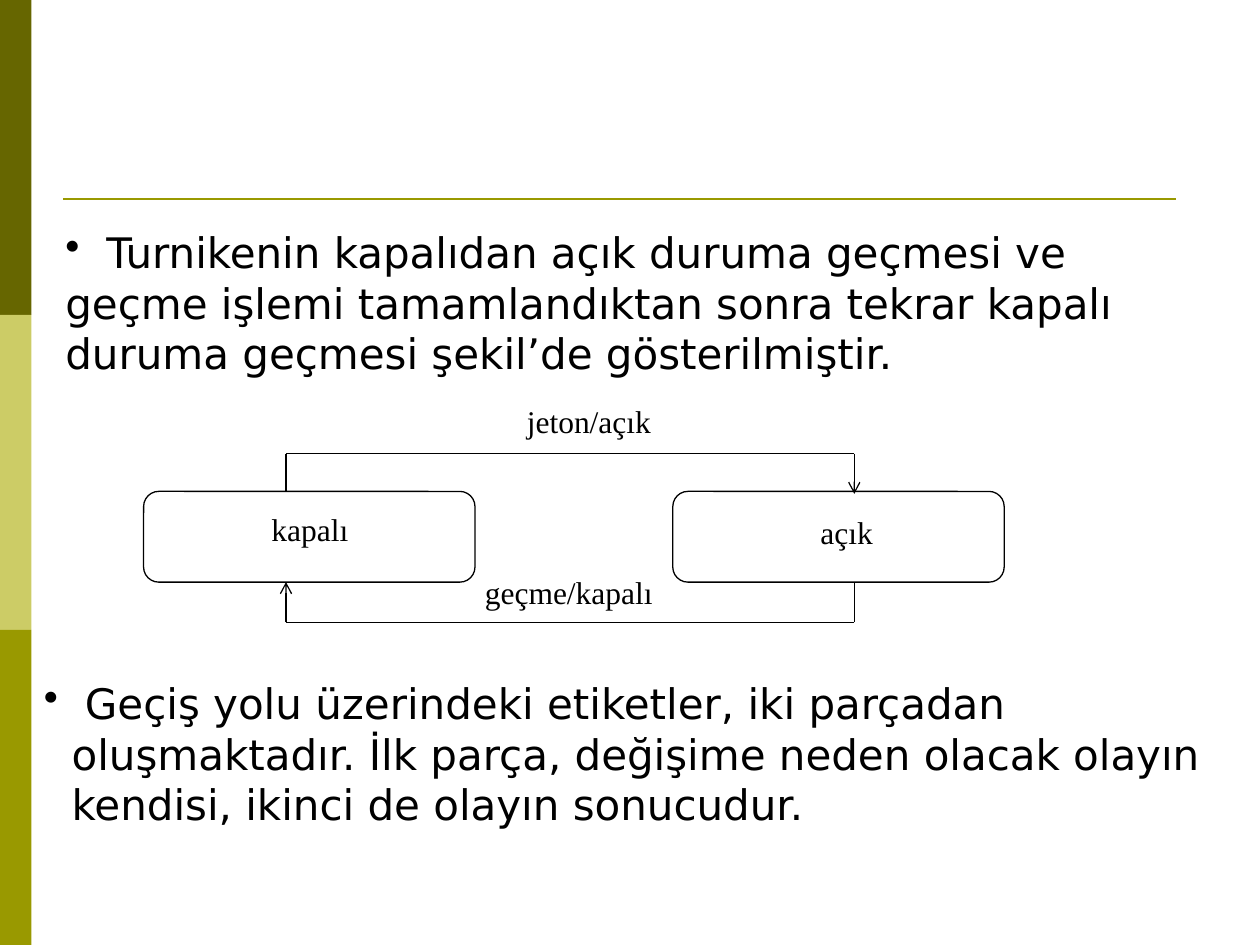
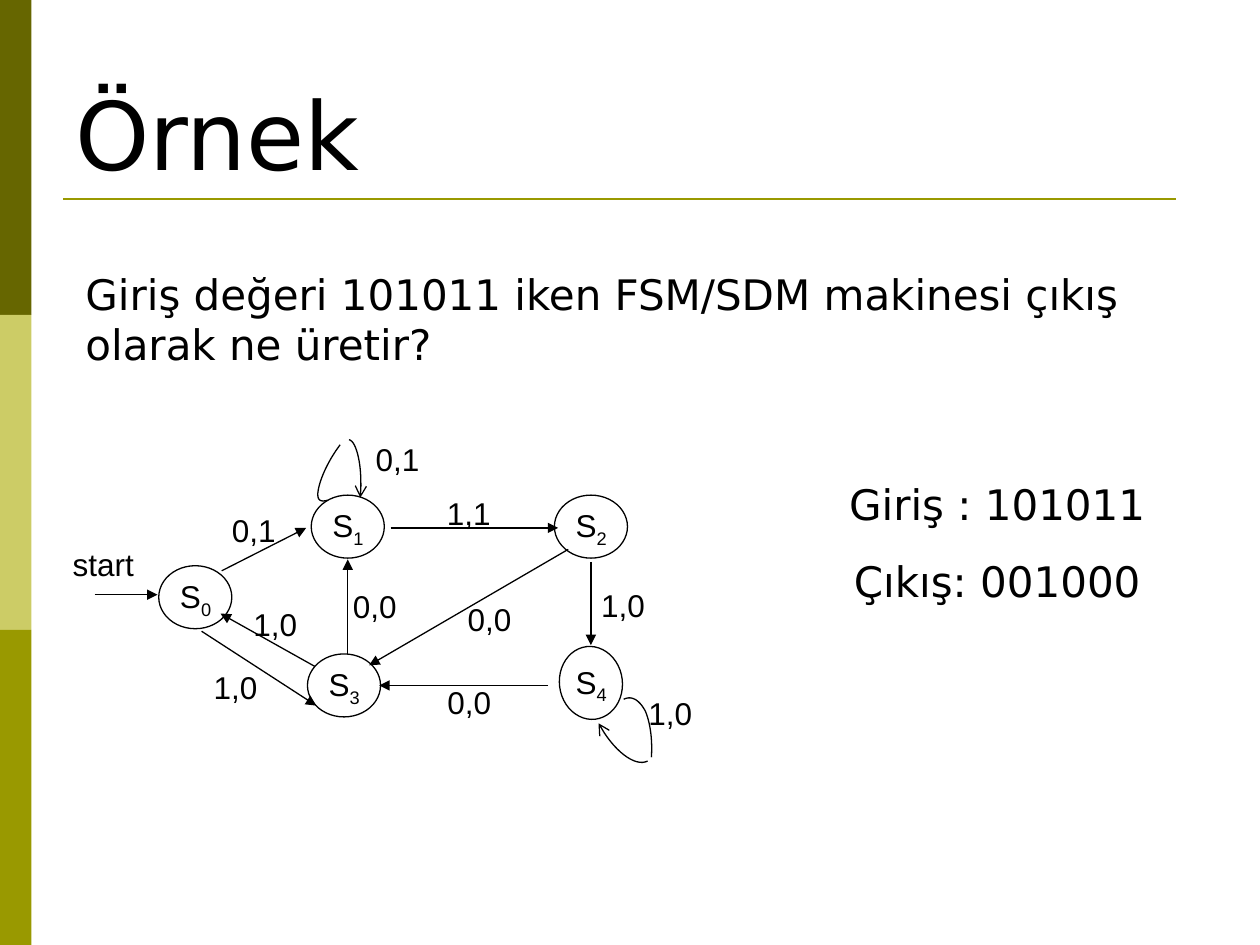
from lxml import etree
from pptx import Presentation
from pptx import util as u
from pptx.dml.color import RGBColor
from pptx.enum import shapes, text
from pptx.oxml.ns import qn

PX = 9144  # EMU in one px: 100 px to the inch
COLORS = {
    "ink": "000000",
    "paper": "FFFFFF",
    "dark": "666600",
    "light": "CCCC66",
    "olive": "999900",
}
BODY, DIAGRAM, SERIF = "DejaVu Sans", "Arial", "Times New Roman"
LEFT, CENTER = text.PP_ALIGN.LEFT, text.PP_ALIGN.CENTER
TOP, BOTTOM = text.MSO_ANCHOR.TOP, text.MSO_ANCHOR.BOTTOM
RECT = shapes.MSO_SHAPE.RECTANGLE
ROUNDED = shapes.MSO_SHAPE.ROUNDED_RECTANGLE
OVAL = shapes.MSO_SHAPE.OVAL


def emu(*lengths):
    return [u.Emu(round(n * PX)) for n in lengths]


def rgb(name):
    return RGBColor.from_string(COLORS[name])


def bezier(p0, p1, p2, p3, steps=16):
    """Points along a cubic curve."""
    for i in range(steps + 1):
        t = i / steps
        yield tuple(
            (1 - t) ** 3 * a + 3 * (1 - t) ** 2 * t * b
            + 3 * (1 - t) * t ** 2 * c + t ** 3 * d
            for a, b, c, d in zip(p0, p1, p2, p3))


class Deck:
    def __init__(self):
        self.prs = Presentation()
        self.prs.slide_width, self.prs.slide_height = emu(1000, 750)

    def new_slide(self):
        """Start a slide with the side bands and the title rule."""
        self.s = self.prs.slides.add_slide(self.prs.slide_layouts[6])
        for i, color in enumerate(("dark", "light", "olive")):
            self.shape(RECT, (0, 250 * i, 25, 250), color, None)
        self.line((50, 158), (933, 158), color="olive", width=1.5)

    def shape(self, kind, box, fill="paper", line="ink"):
        sp = self.s.shapes.add_shape(kind, *emu(*box))
        sp.shadow.inherit = False
        sp.fill.solid()
        sp.fill.fore_color.rgb = rgb(fill)
        if line:
            self.stroke(sp, line)
        else:
            sp.line.fill.background()
        return sp

    def stroke(self, sp, color="ink", width=0.75, arrow=None):
        sp.line.color.rgb = rgb(color)
        sp.line.width = u.Pt(width)
        if arrow:
            ln = sp.element.spPr.find(qn("a:ln"))
            etree.SubElement(ln, qn("a:tailEnd"), type=arrow)

    def line(self, start, end, arrow=None, color="ink", width=0.75):
        cx = self.s.shapes.add_connector(
            shapes.MSO_CONNECTOR.STRAIGHT, *emu(*start, *end))
        self.stroke(cx, color, width, arrow)
        etree.SubElement(cx.element.spPr, qn("a:effectLst"))

    def curve(self, *segments, arrow=None):
        points = [emu(*pt) for seg in segments for pt in bezier(*seg)]
        builder = self.s.shapes.build_freeform(*points[0])
        builder.add_line_segments(points[1:], close=False)
        sp = builder.convert_to_shape()
        sp.shadow.inherit = False
        sp.fill.background()
        self.stroke(sp, arrow=arrow)

    def text(self, box, *lines, size=24, font=BODY, align=LEFT, anchor=TOP,
             gap=0, bullet=False):
        tf = self.s.shapes.add_textbox(*emu(*box)).text_frame
        tf.word_wrap = True
        tf.vertical_anchor = anchor
        tf.text = "\n".join(lines)
        for i, p in enumerate(tf.paragraphs):
            p.alignment = align
            if i:
                p.space_before = u.Pt(gap)
            elif bullet:
                self.bullet(p)
            for r in p.runs:
                self.style(r, size, font)
        return tf

    def bullet(self, p):
        hang, = emu(22)
        pPr = p._p.get_or_add_pPr()
        pPr.set("marL", str(hang))
        pPr.set("indent", str(-hang))
        etree.SubElement(pPr, qn("a:buChar"), char="•")

    def style(self, r, size, font):
        r.font.size = u.Pt(size)
        r.font.name = font
        r.font.color.rgb = rgb("ink")

    def label(self, box, words, font=DIAGRAM, align=CENTER):
        return self.text(box, words, size=18, font=font, align=align)

    def state(self, x, y, number, rotation=0):
        """Draw a state circle named S with a subscript number."""
        self.shape(OVAL, (x, y, 58, 50)).rotation = rotation
        p = self.label((x + 7, y + 4, 58, 44), "S", align=LEFT).paragraphs[0]
        r = p.add_run()
        r.text = str(number)
        self.style(r, 18, DIAGRAM)
        r._r.get_or_add_rPr().set("baseline", "-25000")


def turnstile_slide(d):
    d.new_slide()
    closed_x, open_x, top, bottom = 227, 678, 360, 494
    for x in (114, 534):
        d.shape(ROUNDED, (x, 390, 263, 72))
    d.line((closed_x, 390), (closed_x, top))
    d.line((closed_x, top), (open_x, top))
    d.line((open_x, top), (open_x, 392), "arrow")
    d.line((open_x, 462), (open_x, bottom))
    d.line((open_x, bottom), (closed_x, bottom))
    d.line((closed_x, bottom), (closed_x, 462), "arrow")
    d.label((152, 400, 188, 48), "kapalı", SERIF)
    d.label((578, 402, 188, 45), "açık", SERIF)
    d.label((336, 314, 263, 58), "jeton/açık", SERIF)
    d.label((375, 450, 301, 64), "geçme/kapalı", SERIF, LEFT)
    d.text((42, 175, 958, 130),
           " Turnikenin kapalıdan açık duruma geçmesi ve",
           "geçme işlemi tamamlandıktan sonra tekrar kapalı",
           "duruma geçmesi şekil’de gösterilmiştir.", bullet=True)
    d.text((25, 533, 975, 130),
           " Geçiş yolu üzerindeki etiketler, iki parçadan oluşmaktadır. "
           "İlk parça, değişime neden olacak olayın kendisi, ikinci de "
           "olayın sonucudur.", bullet=True)


def example_slide(d):
    d.new_slide()
    d.text((50, 30, 900, 125), "Örnek", size=54, anchor=BOTTOM)
    d.text((58, 208, 875, 90),
           "Giriş değeri 101011 iken FSM/SDM makinesi çıkış olarak ne üretir?")
    d.text((625, 375, 333, 111), "Giriş : 101011", "Çıkış: 001000",
           align=CENTER, gap=15)

    states = [(126, 449), (247, 393), (440, 393), (244, 519), (440, 517, 83)]
    for number, (x, y, *rotation) in enumerate(states):
        d.state(x, y, number, *rotation)

    transitions = [
        ((310, 419), (443, 419)),
        ((276, 519), (276, 444)),
        ((435, 544), (301, 544)),
        ((469, 446), (469, 512)),
        ((451, 436), (293, 528)),
        ((176, 453), (243, 419)),
        ((250, 529), (175, 487)),
        ((160, 501), (251, 560)),
        ((75, 472), (125, 472)),
    ]
    for start, end in transitions:
        d.line(start, end, "triangle")

    labels = [
        (3, 428, 158, "start"), (168, 401, 67, "0,1"), (185, 475, 67, "1,0"),
        (158, 525, 58, "1,0"), (260, 461, 75, "0,0"), (351, 471, 75, "0,0"),
        (335, 537, 75, "0,0"), (457, 460, 75, "1,0"), (343, 387, 58, "1,1"),
        (503, 546, 58, "1,0"), (282, 344, 67, "0,1"),
    ]
    for x, y, width, words in labels:
        d.label((x, y, width, 40), words)

    # Self-loops on S4 and S1
    d.curve(((495, 555), (501, 552), (507, 555), (512, 564)),
            ((512, 564), (516, 573), (518, 587), (517, 601)))
    d.curve(((514, 604), (504, 609), (487, 596), (475, 574)), arrow="arrow")
    d.curve(((260, 397), (253, 399), (251, 396), (253, 387)),
            ((253, 387), (255, 378), (261, 365), (270, 353)))
    d.curve(((277, 349), (283, 350), (288, 370), (286, 395)), arrow="arrow")


def main():
    d = Deck()
    turnstile_slide(d)
    example_slide(d)
    d.prs.save("out.pptx")


if __name__ == "__main__":
    main()
